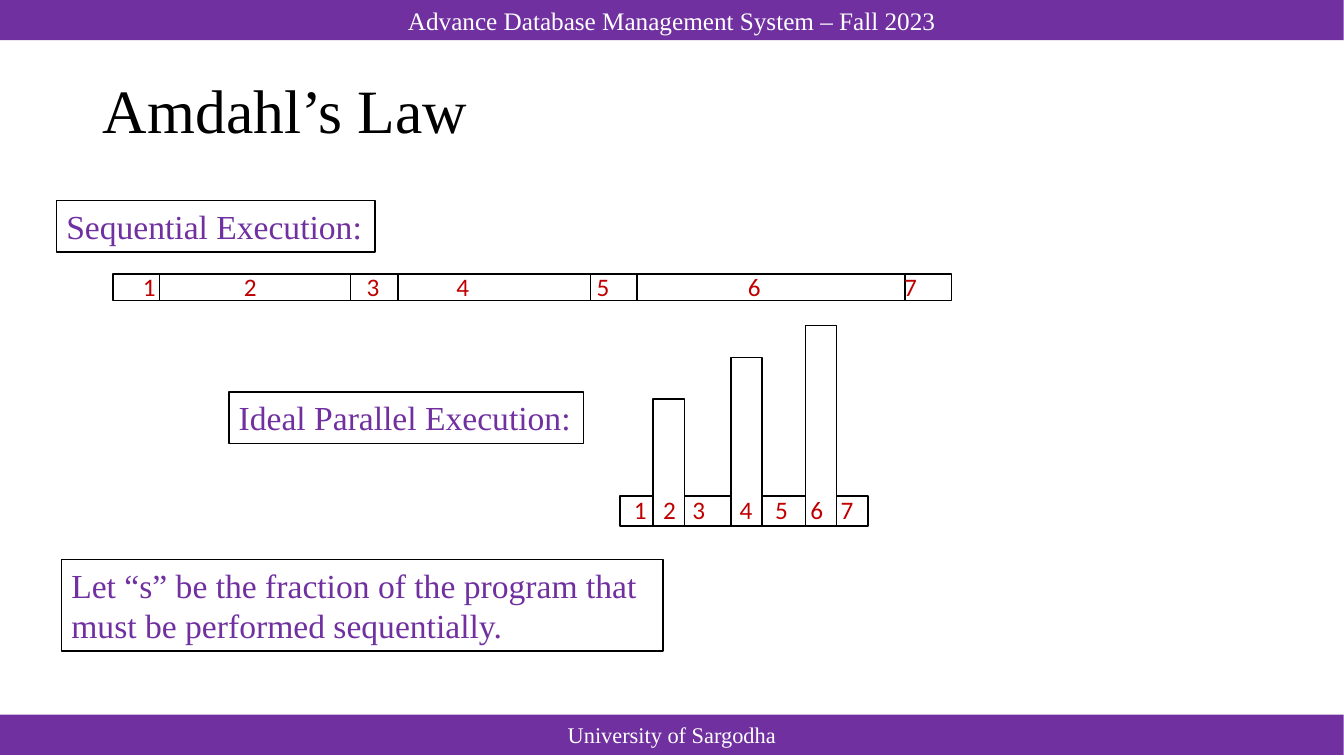
from dataclasses import dataclass

from lxml.etree import SubElement
from pptx import Presentation
from pptx.dml.color import RGBColor
from pptx.enum.shapes import MSO_CONNECTOR, MSO_SHAPE
from pptx.enum.text import MSO_ANCHOR, MSO_AUTO_SIZE, PP_ALIGN
from pptx.oxml.ns import qn
from pptx.util import Inches, Pt


@dataclass(frozen=True)
class Theme:
    """Colours, fonts, type sizes and line weight of the slide."""
    purple: RGBColor = RGBColor(0x70, 0x30, 0xA0)
    red: RGBColor = RGBColor(0xC0, 0x00, 0x00)
    black: RGBColor = RGBColor(0, 0, 0)
    white: RGBColor = RGBColor(255, 255, 255)
    serif: str = "Times New Roman"
    sans: str = "Calibri"
    title: int = 44
    caption: int = 24
    label: int = 18
    footer: int = 16
    outline: int = 1


def apply(target, values):
    """Set every attribute named in the dict."""
    for name, value in values.items():
        setattr(target, name, value)


def cells(count):
    """Turn grid columns or rows, ten to the inch, into a length."""
    return Inches(count / 10)


class LectureSlide:
    """Draws themed elements on one slide laid out on a square grid."""

    def __init__(self, presentation, theme):
        """Add a title-only slide."""
        self.theme = theme
        self.slide = presentation.slides.add_slide(presentation.slide_layouts[5])

    def letter(self, shape, wording, size, color, font=None, frame=None, paragraph=None):
        """Fill a shape with one formatted paragraph."""
        apply(shape.text_frame, {"word_wrap": True, "auto_size": MSO_AUTO_SIZE.NONE,
                                 "vertical_anchor": MSO_ANCHOR.TOP, **(frame or {})})
        line = shape.text_frame.paragraphs[0]
        apply(line, {"alignment": PP_ALIGN.LEFT, **(paragraph or {})})
        run = line.add_run()
        run.text = wording
        apply(run.font, {"name": font or self.theme.serif, "size": Pt(size)})
        run.font.color.rgb = color
        return line

    def title(self, wording, *place):
        """Move and format the title placeholder."""
        heading = self.slide.shapes.title
        apply(heading, dict(zip(("left", "top", "width", "height"), map(cells, place))))
        self.letter(heading, wording, self.theme.title, self.theme.black,
                    frame={"vertical_anchor": MSO_ANCHOR.MIDDLE},
                    paragraph={"line_spacing": 0.9})

    def block(self, *place, fill=None):
        """Draw an outlined white block, or a plain one in the given fill."""
        block = self.slide.shapes.add_shape(MSO_SHAPE.RECTANGLE, *map(cells, place))
        block.shadow.inherit = False
        block.fill.solid()
        block.fill.fore_color.rgb = fill or self.theme.white
        if fill:
            block.line.fill.background()
        else:
            block.line.color.rgb = self.theme.black
            block.line.width = Pt(self.theme.outline)
        return block

    def band(self, wording, top, size, anchor):
        """Draw a full-width band with centred text."""
        self.letter(self.block(0, top, 133.3, 4, fill=self.theme.purple), wording, size,
                    self.theme.white, frame={"vertical_anchor": anchor},
                    paragraph={"alignment": PP_ALIGN.CENTER})

    def caption(self, wording, *place, wrap=False):
        """Draw a framed caption."""
        self.letter(self.block(*place), wording, self.theme.caption, self.theme.purple,
                    frame={"word_wrap": wrap})

    def divider(self, column, top, bottom):
        """Draw a vertical line between two program parts."""
        divider = self.slide.shapes.add_connector(
            MSO_CONNECTOR.STRAIGHT, *map(cells, (column, top, column, bottom)))
        divider.line.color.rgb = self.theme.black
        divider.line.width = Pt(self.theme.outline)
        SubElement(divider.element.spPr, qn("a:effectLst"))

    def numbering(self, columns, top, width):
        """Number the program parts from 1, one at each column."""
        first, *others = columns
        numbers = self.slide.shapes.add_textbox(*map(cells, (first - 1, top, width, 4.2)))
        wording = "\t".join(str(part) for part in range(1, len(columns) + 1))
        line = self.letter(numbers, wording, self.theme.label, self.theme.red, self.theme.sans)
        stops = SubElement(line._p.get_or_add_pPr(), qn("a:tabLst"))
        for column in others:
            SubElement(stops, qn("a:tab"), pos=str(cells(column - first)), algn="l")


def main():
    """Build and save the Amdahl's Law slide."""
    presentation = Presentation()
    apply(presentation, {"slide_width": cells(133.33), "slide_height": cells(75)})
    theme = Theme()
    lecture = LectureSlide(presentation, theme)

    lecture.band("Advance Database Management System – Fall 2023", 0, theme.label, MSO_ANCHOR.TOP)
    lecture.title("Amdahl’s Law", 9.2, 4, 115, 14.5)
    lecture.band("University of Sargodha", 70.9, theme.footer, MSO_ANCHOR.MIDDLE)

    lecture.caption("Sequential Execution:", 5.6, 19.9, 31.6, 5.1)
    lecture.caption("Ideal Parallel Execution:", 22.7, 38.9, 35.2, 5.1)
    lecture.caption("Let “s” be the fraction of the program that must be performed sequentially.",
                    6.1, 55.5, 59.7, 9.1, wrap=True)

    lecture.block(11.2, 27.2, 83.2, 2.6)
    for boundary in (15.8, 34.8, 39.5, 58.6, 63.2, 89.8):
        lecture.divider(boundary, 27.2, 29.8)

    baseline = 52.2
    lecture.block(61.5, baseline - 3, 24.6, 3)
    for column, height in ((64.8, 12.6), (72.5, 16.7), (79.9, 19.9)):
        lecture.block(column, baseline - height, 3.1, height)

    lecture.numbering((14.2, 24.2, 36.4, 45.3, 59.2, 74.2, 89.7), 26.4, 83.3)
    lecture.numbering((62.9, 65.8, 68.7, 73.4, 76.9, 80.4, 83.4), 48.5, 27.5)
    presentation.save("out.pptx")


if __name__ == "__main__":
    main()
